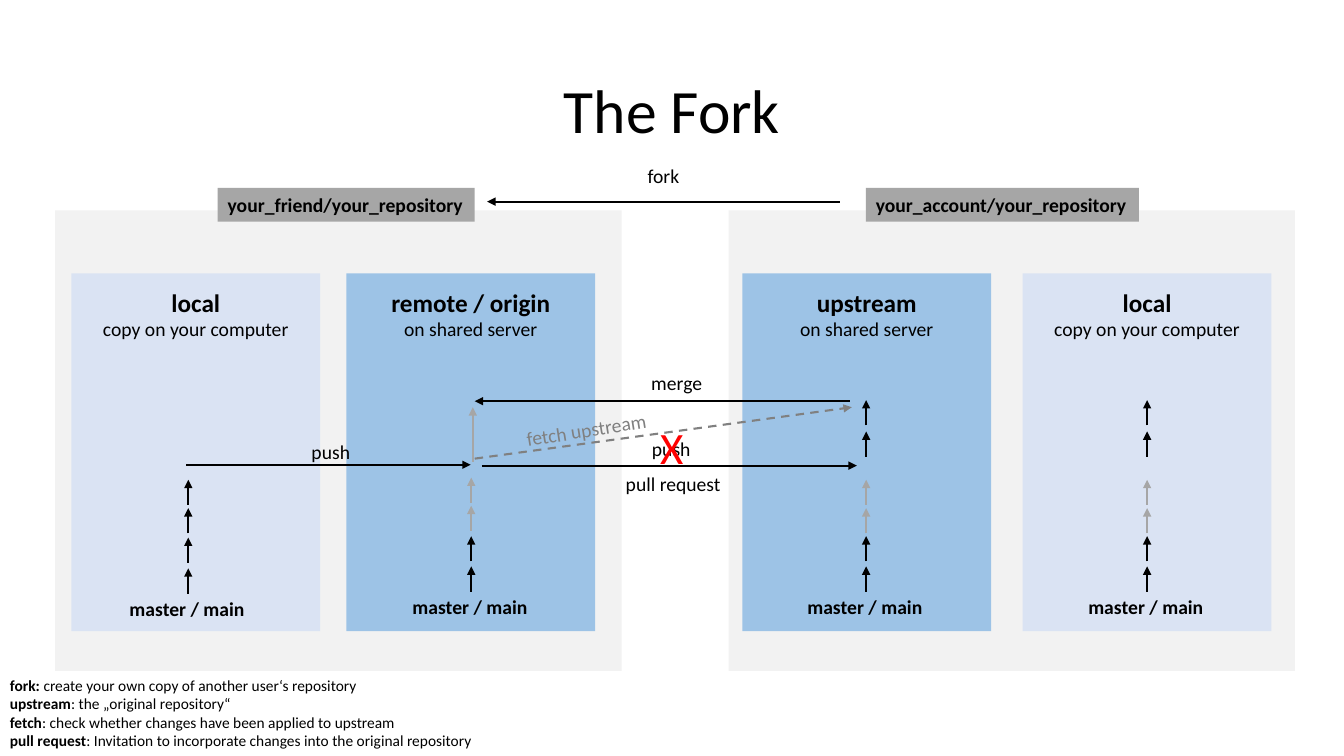
from lxml import etree
from pptx import Presentation
from pptx.dml.color import RGBColor
from pptx.enum.dml import MSO_LINE
from pptx.enum.shapes import MSO_CONNECTOR, MSO_SHAPE
from pptx.enum.text import MSO_ANCHOR, MSO_AUTO_SIZE, PP_ALIGN
from pptx.oxml.ns import qn
from pptx.util import Pt

BLACK = RGBColor(0x00, 0x00, 0x00)
RED = RGBColor(0xFF, 0x00, 0x00)
DARK_GRAY = RGBColor(0x80, 0x80, 0x80)
GRAY = RGBColor(0xA6, 0xA6, 0xA6)
PANEL_GRAY = RGBColor(0xF2, 0xF2, 0xF2)
SERVER_BLUE = RGBColor(0x9D, 0xC3, 0xE6)
LOCAL_BLUE = RGBColor(0xDA, 0xE3, 0xF3)

COLUMN_TOP, COLUMN_WIDTH, COLUMN_HEIGHT = 195.2, 177.8, 255.6
LABEL_HEIGHT = 24.2
COMMIT_LENGTH = 18


class ForkSlide:
    font_name = "Calibri"
    line_width = 1.5

    def __init__(self, presentation):
        self.slide = presentation.slides.add_slide(presentation.slide_layouts[5])

    def format_font(self, font, size, color=BLACK, bold=False):
        font.name = self.font_name
        font.size = Pt(size)
        font.color.rgb = color
        font.bold = bold

    def title(self, text, left, top, width, height):
        title = self.slide.shapes.title
        title.left, title.top, title.width, title.height = map(Pt, (left, top, width, height))
        frame = title.text_frame
        frame.text = text
        frame.auto_size = MSO_AUTO_SIZE.NONE
        frame.vertical_anchor = MSO_ANCHOR.MIDDLE
        paragraph = frame.paragraphs[0]
        paragraph.alignment = PP_ALIGN.CENTER
        paragraph.line_spacing = 0.9
        self.format_font(paragraph.font, 44)

    def rectangle(self, left, top, width, height, color):
        shape = self.slide.shapes.add_shape(
            MSO_SHAPE.RECTANGLE, Pt(left), Pt(top), Pt(width), Pt(height))
        shape.shadow.inherit = False
        shape.fill.solid()
        shape.fill.fore_color.rgb = color
        shape.line.fill.background()
        return shape

    def tag(self, text, left, top, width):
        frame = self.rectangle(left, top, width, LABEL_HEIGHT, GRAY).text_frame
        frame.text = text
        frame.word_wrap = False
        frame.vertical_anchor = MSO_ANCHOR.TOP
        paragraph = frame.paragraphs[0]
        paragraph.alignment = PP_ALIGN.LEFT
        self.format_font(paragraph.font, 14, bold=True)

    def text(self, lines, left, top, width, height=LABEL_HEIGHT, color=BLACK,
             alignment=PP_ALIGN.LEFT, rotation=0):
        """Add a text box; each line is (text, size, bold)."""
        box = self.slide.shapes.add_textbox(Pt(left), Pt(top), Pt(width), Pt(height))
        box.rotation = rotation
        frame = box.text_frame
        frame.word_wrap = True
        frame.text = "\n".join(line[0] for line in lines)
        for paragraph, (_, size, bold) in zip(frame.paragraphs, lines):
            paragraph.alignment = alignment
            self.format_font(paragraph.font, size, color, bold)

    def glossary(self, entries, left, top, width, height):
        box = self.slide.shapes.add_textbox(Pt(left), Pt(top), Pt(width), Pt(height))
        frame = box.text_frame
        frame.word_wrap = True
        for index, (term, meaning) in enumerate(entries):
            paragraph = frame.add_paragraph() if index else frame.paragraphs[0]
            for text, bold in ((term, True), (meaning, False)):
                run = paragraph.add_run()
                run.text = text
                self.format_font(run.font, 11, bold=bold)

    def arrow(self, start_x, start_y, end_x, end_y, color=BLACK, dashed=False):
        connector = self.slide.shapes.add_connector(
            MSO_CONNECTOR.STRAIGHT, Pt(start_x), Pt(start_y), Pt(end_x), Pt(end_y))
        connector.line.color.rgb = color
        connector.line.width = Pt(self.line_width)
        if dashed:
            connector.line.dash_style = MSO_LINE.DASH
        line = connector.line._get_or_add_ln()
        etree.SubElement(line, qn("a:tailEnd"), type="triangle")
        etree.SubElement(connector._element.spPr, qn("a:effectLst"))

    def column(self, left, color, heading, place):
        self.rectangle(left, COLUMN_TOP, COLUMN_WIDTH, COLUMN_HEIGHT, color)
        self.text([(heading, 18, True), (place, 14, False)], left, 201.4,
                  COLUMN_WIDTH, 46, alignment=PP_ALIGN.CENTER)

    def branch(self, x, label_top, commits):
        """Draw commit arrows given as (bottom, color) above the branch name."""
        for bottom, color in commits:
            self.arrow(x, bottom, x, bottom - COMMIT_LENGTH, color)
        self.text([("master / main", 14, True)], x - 49.5, label_top, 97.2,
                  alignment=PP_ALIGN.CENTER)


def main():
    presentation = Presentation()
    presentation.slide_width, presentation.slide_height = Pt(960), Pt(540)
    fork = ForkSlide(presentation)
    fork.title("The Fork", 66, 28.8, 828, 104.4)

    for left in (39.4, 520.4):
        fork.rectangle(left, 150.3, 404.6, 329, PANEL_GRAY)
    fork.tag("your_friend/your_repository", 155.5, 134.2, 183.6)
    fork.tag("your_account/your_repository", 618.5, 134.2, 195)

    computer, server = "copy on your computer", "on shared server"
    for column in (
        (51, LOCAL_BLUE, "local", computer),
        (247.4, SERVER_BLUE, "remote / origin", server),
        (530.3, SERVER_BLUE, "upstream", server),
        (730.5, LOCAL_BLUE, "local", computer),
    ):
        fork.column(*column)

    first = [(422.6, BLACK), (401, BLACK)]
    pulled = [(381, GRAY), (360.7, GRAY)]
    latest = [(326.2, BLACK), (303.8, BLACK)]
    local_commits = [(bottom, BLACK) for bottom in (424, 402, 381, 360.7)]
    for branch in (
        (134.5, 422.6, local_commits),
        (336.6, 421.5, first + [(379.3, GRAY), (359.2, GRAY)]),
        (618.7, 421.5, first + pulled + latest),
        (819.4, 421.5, first + pulled + latest),
    ):
        fork.branch(*branch)

    for arrow in (
        (600, 144, 348, 144),
        (133.2, 332, 336.2, 332),
        (344.2, 332.6, 612, 332.6),
        (607, 286.6, 339.1, 286.6),
        (339.1, 327.6, 608.4, 290.9, DARK_GRAY, True),
        (337.7, 329.8, 337.7, 290.9, GRAY),
    ):
        fork.arrow(*arrow)

    for text, left, top, width in (
        ("fork", 455.5, 113.8, 40),
        ("push", 215.4, 311, 43),
        ("push", 458.6, 308.2, 43),
        ("pull request", 439.9, 333.4, 105),
        ("merge", 458.1, 261.4, 105),
    ):
        fork.text([(text, 14, False)], left, top, width)
    fork.text([("fetch upstream", 14, False)], 368.6, 294.5, 105,
              color=DARK_GRAY, rotation=351)
    fork.text([("X", 32, False)], 464.4, 296.6, 39, 46, color=RED)

    fork.glossary((
        ("fork: ", "create your own copy of another user‘s repository"),
        ("upstream", ": the „original repository“"),
        ("fetch", ": check whether changes have been applied to upstream"),
        ("pull request", ": Invitation to incorporate changes into the original repository"),
    ), 0, 479.2, 360, 60.8)
    presentation.save("out.pptx")


if __name__ == "__main__":
    main()
